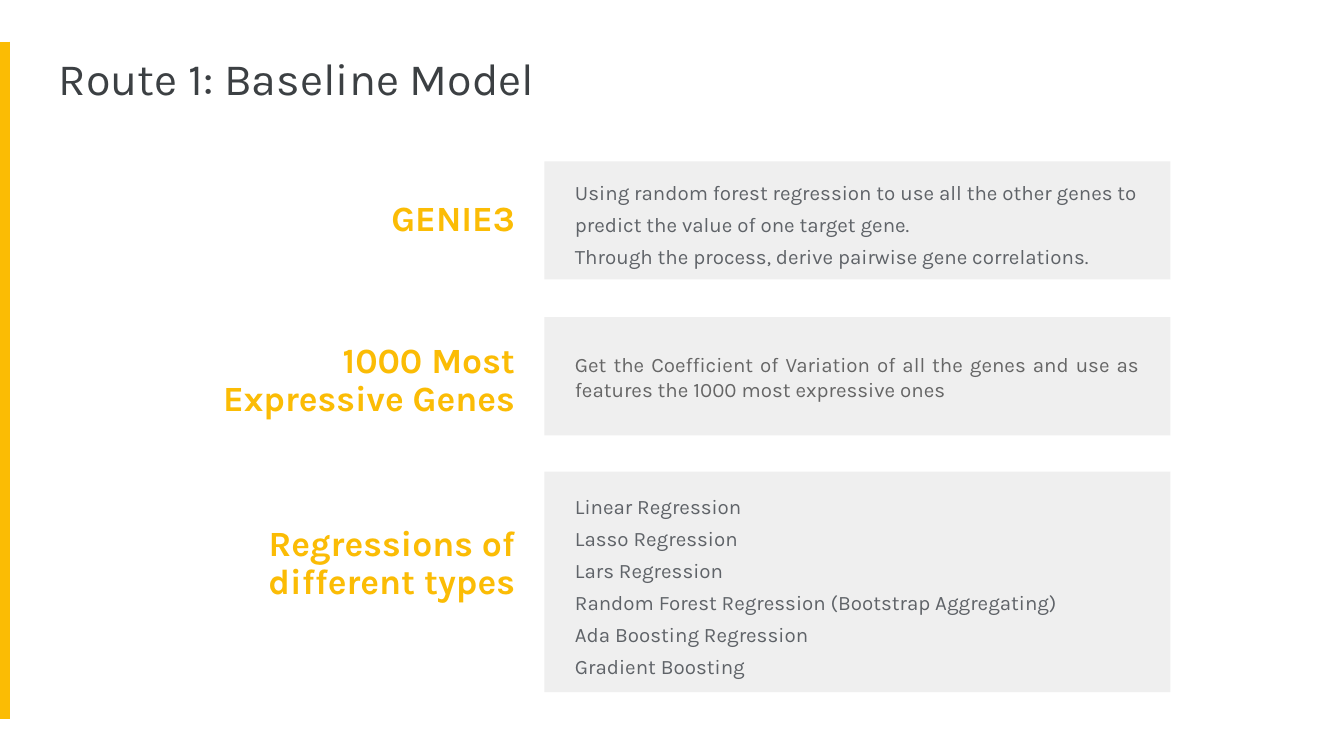
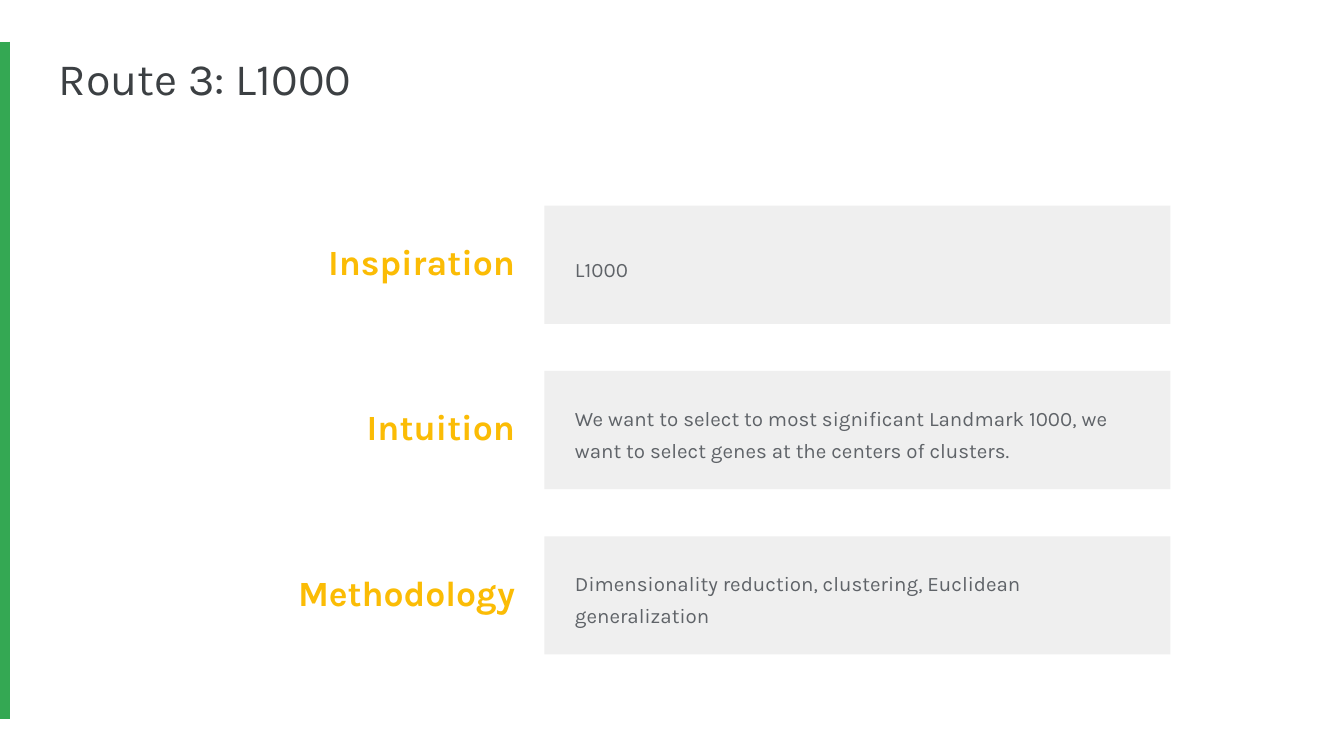
from lxml import etree
from pptx import Presentation
from pptx import util as u
from pptx.dml.color import RGBColor
from pptx.enum import shapes, text
from pptx.oxml.ns import qn

COLORS = {
    "title": "3C4043",
    "label": "FBBC05",
    "body": "5F6368",
    "neutral": "666666",
    "card": "EFEFEF",
    "yellow": "FBBC04",
    "green": "34A853",
}
FONT = "Karla"
ALIGN = text.PP_ALIGN
ANCHOR = text.MSO_ANCHOR


def color(name):
    return RGBColor.from_string(COLORS[name])


def write(frame, lines, size, tint, bold=False, align=ALIGN.LEFT,
          spacing=1.0, anchor=ANCHOR.MIDDLE, inset=0.05):
    """Fill a text frame with one paragraph per line."""
    frame.word_wrap = True
    frame.vertical_anchor = anchor
    frame.margin_left = frame.margin_right = u.Inches(0.1)
    frame.margin_top = frame.margin_bottom = u.Inches(inset)
    for index, line in enumerate(lines):
        para = frame.add_paragraph() if index else frame.paragraphs[0]
        para.alignment = align
        para.line_spacing = spacing
        span = para.add_run()
        span.text = line
        span.font.name = FONT
        span.font.size = u.Pt(size)
        span.font.bold = bold
        span.font.color.rgb = color(tint)


class RouteDeck:
    """Holds the shared style and the slide being built."""

    def __init__(self):
        self.deck = Presentation()
        self.deck.slide_width = u.Inches(10)
        self.deck.slide_height = u.Inches(5.625)
        self.page = None

    def add_page(self, title, accent):
        self.page = self.deck.slides.add_slide(self.deck.slide_layouts[6])
        self.accent_line(accent)
        box = self.text_box(self.page.shapes, 0.34, 0.28, 9.32, 0.63)
        write(box, [title], 24, "title", anchor=ANCHOR.TOP, inset=0.1)

    def text_box(self, parent, left, top, width, height):
        area = map(u.Inches, (left, top, width, height))
        return parent.add_textbox(*area).text_frame

    def accent_line(self, tint):
        x = u.Inches(0.03)
        line = self.page.shapes.add_connector(
            shapes.MSO_CONNECTOR.STRAIGHT, x, u.Inches(0.31), x, u.Inches(5.35))
        line.line.color.rgb = color(tint)
        line.line.width = u.Pt(6)
        properties = line._element.find(qn("p:spPr"))
        etree.SubElement(properties, qn("a:effectLst"))

    def label(self, caption, top):
        box = self.text_box(self.page.shapes, 1.28, top, 2.65, 0.61)
        write(box, [caption], 19, "label", bold=True, align=ALIGN.RIGHT, spacing=0.9)

    def card(self, lines, top, height=0.88, pad=0.09, tint="body", **style):
        group = self.page.shapes.add_group_shape().shapes
        area = map(u.Inches, (4.05, top, 4.66, height))
        panel = group.add_shape(shapes.MSO_SHAPE.RECTANGLE, *area)
        panel.shadow.inherit = False
        panel.fill.solid()
        panel.fill.fore_color.rgb = color("card")
        panel.line.fill.background()
        box = self.text_box(group, 4.18, top + pad, 4.4, height + 0.01 - 2 * pad)
        write(box, lines, 11, tint, **{"spacing": 1.3, **style})

    def row(self, caption, lines, top, label_offset=0.13, **style):
        self.label(caption, top + label_offset)
        self.card(lines, top, **style)


def main():
    routes = RouteDeck()

    # Baseline model
    routes.add_page("Route 1: Baseline Model", "yellow")
    routes.row("GENIE3", [
        "Using random forest regression to use all the other genes to "
        "predict the value of one target gene.",
        "Through the process, derive pairwise gene correlations.",
    ], 1.2)
    routes.row("1000 Most Expressive Genes", [
        "Get the Coefficient of Variation of all the genes and use as "
        "features the 1000 most expressive ones",
    ], 2.36, label_offset=0.17, tint="neutral", align=ALIGN.JUSTIFY, spacing=1.0)
    routes.row("Regressions of different types", [
        "Linear Regression",
        "Lasso Regression",
        "Lars Regression",
        "Random Forest Regression (Bootstrap Aggregating)",
        "Ada Boosting Regression",
        "Gradient Boosting",
    ], 3.51, label_offset=0.38, height=1.64, pad=0.17)

    # L1000, in three evenly spaced rows
    routes.add_page("Route 3: L1000", "green")
    steps = [
        ("Inspiration", "L1000"),
        ("Intuition", "We want to select to most significant Landmark 1000, we "
                      "want to select genes at the centers of clusters."),
        ("Methodology", "Dimensionality reduction, clustering, Euclidean generalization"),
    ]
    for index, (caption, line) in enumerate(steps):
        routes.row(caption, [line], 1.53 + 1.23 * index)

    routes.deck.save("out.pptx")


if __name__ == "__main__":
    main()
